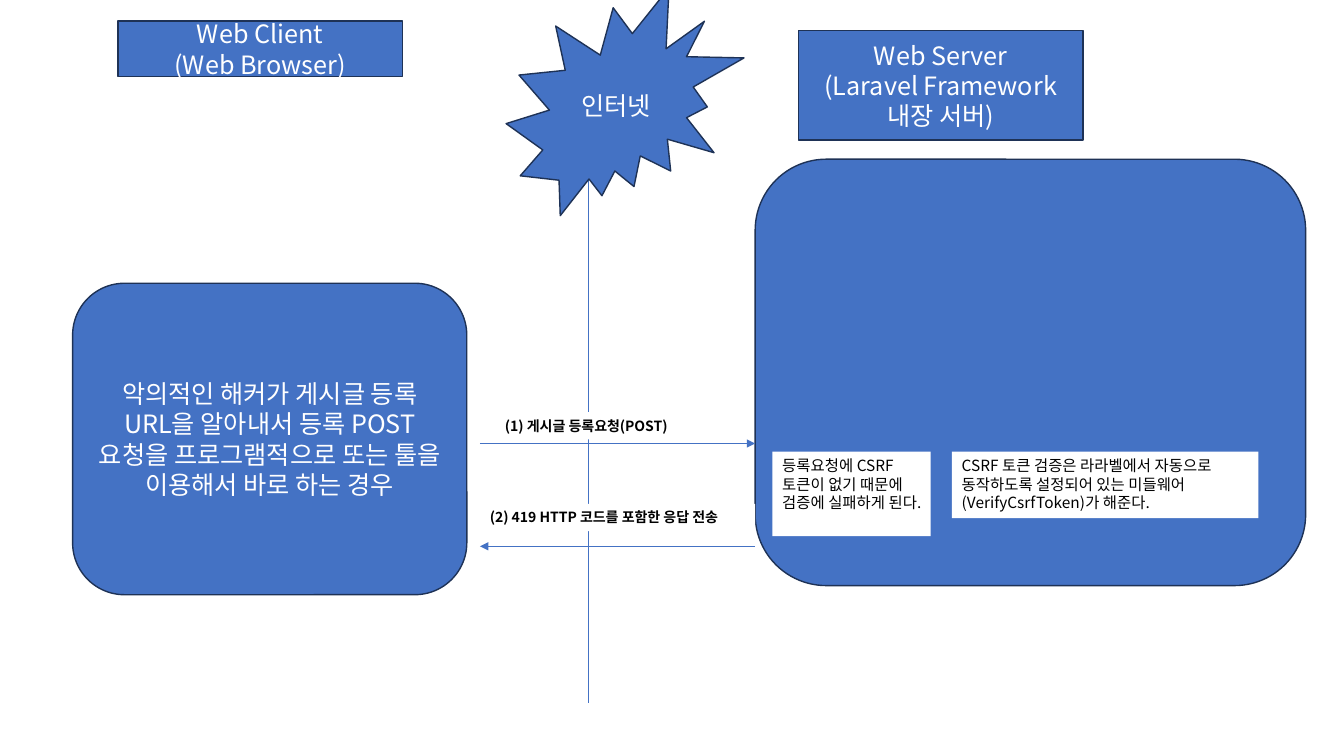
import pptx
import pptx.util
import pptx.dml.color
import pptx.enum.shapes
import pptx.enum.text
import pptx.oxml.ns
import lxml.etree

Inches = pptx.util.Inches
Pt = pptx.util.Pt
RGBColor = pptx.dml.color.RGBColor
MSO_SHAPE = pptx.enum.shapes.MSO_SHAPE
qn = pptx.oxml.ns.qn

BLUE = RGBColor(0x44, 0x72, 0xC4)
NAVY = RGBColor(0x1E, 0x32, 0x56)
WHITE = RGBColor(0xFF, 0xFF, 0xFF)
BLACK = RGBColor(0x00, 0x00, 0x00)
FONT = "Noto Sans CJK KR"

deck = pptx.Presentation()
deck.slide_width = Inches(13.33)
deck.slide_height = Inches(7.5)
slide = deck.slides.add_slide(deck.slide_layouts[6])


def write(frame, lines, size, color, align, bold=False):
    frame.word_wrap = True
    for i, line in enumerate(lines):
        para = frame.paragraphs[0] if i == 0 else frame.add_paragraph()
        para.alignment = align
        run = para.add_run()
        run.text = line
        run.font.size = Pt(size)
        run.font.bold = bold
        run.font.color.rgb = color
        run.font.name = FONT
        # Hangul takes its font from the East Asian setting
        lxml.etree.SubElement(run.font._element, qn("a:ea"), typeface=FONT)


def link(x1, y1, x2, y2, arrow=True):
    line = slide.shapes.add_connector(
        pptx.enum.shapes.MSO_CONNECTOR.STRAIGHT,
        Inches(x1), Inches(y1), Inches(x2), Inches(y2))
    line.line.color.rgb = BLUE
    line.line.width = Pt(0.5)
    props = line._element.spPr
    if arrow:
        lxml.etree.SubElement(props.find(qn("a:ln")), qn("a:tailEnd"), type="triangle")
    lxml.etree.SubElement(props, qn("a:effectLst"))


# Divider between client and server, behind the star
link(5.84, 0.49, 5.84, 6.97, arrow=False)

# Client, network and server
blocks = [
    (MSO_SHAPE.EXPLOSION2, 5.02, -0.12, 2.36, 2.26, ["인터넷"]),
    (MSO_SHAPE.ROUNDED_RECTANGLE, 0.72, 2.81, 3.91, 3.09,
     ["악의적인 해커가 게시글 등록 URL을 알아내서 등록 POST 요청을 "
      "프로그램적으로 또는 툴을 이용해서 바로 하는 경우"]),
    (MSO_SHAPE.ROUNDED_RECTANGLE, 7.49, 1.58, 5.46, 4.23, []),
    (MSO_SHAPE.RECTANGLE, 1.17, 0.21, 2.82, 0.55, ["Web Client", "(Web Browser)"]),
    (MSO_SHAPE.RECTANGLE, 7.92, 0.3, 2.82, 1.09,
     ["Web Server", "(Laravel Framework", "내장 서버)"]),
]
for kind, left, top, width, height, lines in blocks:
    block = slide.shapes.add_shape(
        kind, Inches(left), Inches(top), Inches(width), Inches(height))
    block.shadow.inherit = False
    block.fill.solid()
    block.fill.fore_color.rgb = BLUE
    block.line.color.rgb = NAVY
    block.line.width = Pt(1)
    block.text_frame.vertical_anchor = pptx.enum.text.MSO_ANCHOR.MIDDLE
    write(block.text_frame, lines, 18, WHITE, pptx.enum.text.PP_ALIGN.CENTER)

# Request and response
link(4.76, 4.4, 7.49, 4.4)
link(7.49, 5.42, 4.76, 5.42)

# Arrow captions (bold) and server notes
notes = [
    (4.91, 4.09, 2.41, 0.27, 10, True, "(1) 게시글 등록요청(POST)"),
    (4.76, 5, 2.73, 0.27, 10, True, "(2) 419 HTTP 코드를 포함한 응답 전송"),
    (7.66, 4.48, 1.57, 0.84, 11, False,
     "등록요청에 CSRF 토큰이 없기 때문에 검증에 실패하게 된다."),
    (9.44, 4.48, 3.04, 0.66, 11, False,
     "CSRF 토큰 검증은 라라벨에서 자동으로 동작하도록 설정되어 있는 "
     "미들웨어(VerifyCsrfToken)가 해준다."),
]
for left, top, width, height, size, bold, text in notes:
    note = slide.shapes.add_textbox(
        Inches(left), Inches(top), Inches(width), Inches(height))
    note.fill.solid()
    note.fill.fore_color.rgb = WHITE
    note.text_frame.auto_size = pptx.enum.text.MSO_AUTO_SIZE.SHAPE_TO_FIT_TEXT
    write(note.text_frame, [text], size, BLACK, pptx.enum.text.PP_ALIGN.LEFT, bold)

deck.save("out.pptx")
